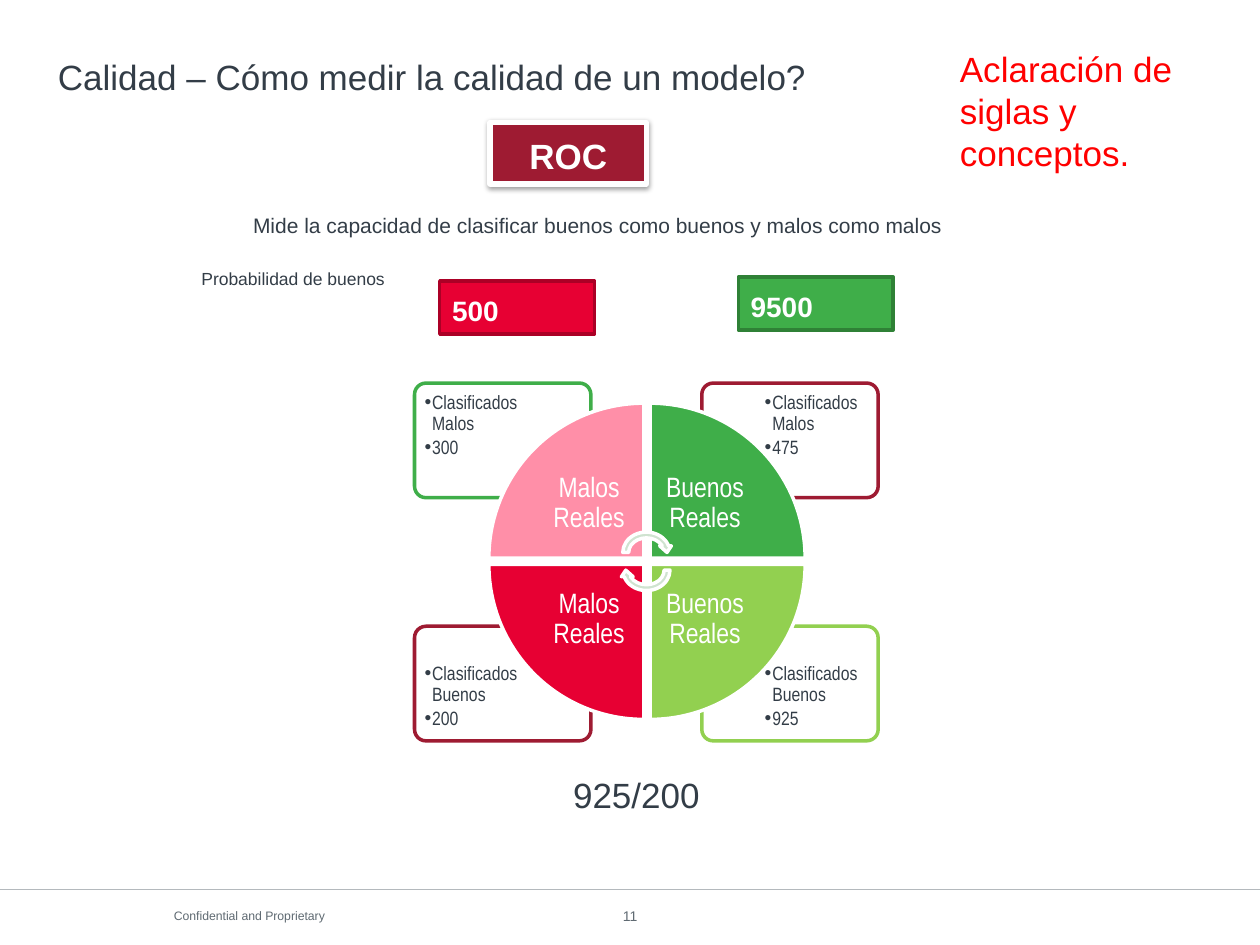
"""Build the slide on measuring model quality with ROC and a confusion cycle."""
from dataclasses import dataclass
from typing import Optional

import pptx
import pptx.dml.color
import pptx.enum.shapes
import pptx.enum.text
import pptx.oxml
import pptx.oxml.ns
import pptx.util
from lxml import etree

Inches = pptx.util.Inches
Pt = pptx.util.Pt
RGBColor = pptx.dml.color.RGBColor
Shape = pptx.enum.shapes.MSO_SHAPE
Align = pptx.enum.text.PP_ALIGN
Anchor = pptx.enum.text.MSO_ANCHOR
qn = pptx.oxml.ns.qn

WHITE = RGBColor(0xFF, 0xFF, 0xFF)
INK = RGBColor(0x33, 0x3D, 0x47)
FOOTER_GREY = RGBColor(0x5F, 0x6A, 0x72)
RULE_GREY = RGBColor(0xB4, 0xB9, 0xBD)
RED = RGBColor(0xE7, 0x00, 0x33)
DARK_RED = RGBColor(0xAB, 0x00, 0x26)
BRIGHT_RED = RGBColor(0xFF, 0x00, 0x00)
WINE = RGBColor(0x9E, 0x1B, 0x32)
PINK = RGBColor(0xFF, 0x8F, 0xA8)
GREEN = RGBColor(0x3F, 0xAE, 0x49)
DARK_GREEN = RGBColor(0x2F, 0x81, 0x36)
LIME = RGBColor(0x92, 0xD0, 0x50)
PALE_GREEN = RGBColor(0xCF, 0xE3, 0xD0)

BOX_INSETS = (0.1, 0.1, 0.1, 0.05)
NO_INSETS = (0, 0, 0, 0)


@dataclass(frozen=True)
class Label:
    text: str
    area: tuple
    size: float
    color: RGBColor = INK
    insets: tuple = BOX_INSETS
    bold: bool = False
    align: Align = Align.LEFT
    anchor: Anchor = Anchor.TOP
    font: str = "Arial"
    line_spacing: float = 1.0
    wrap: bool = True
    fill: Optional[RGBColor] = None
    outline: Optional[RGBColor] = None
    outline_width: float = 2


@dataclass(frozen=True)
class Quadrant:
    column: int
    row: int
    rotation: int
    actual: str
    predicted: str
    count: str
    fill: RGBColor
    border: RGBColor


FOOTER = [
    Label("Confidential and Proprietary", (1.38, 7.23, 1.41, 0.2), 7, FOOTER_GREY, NO_INSETS,
          line_spacing=0.85, wrap=False, fill=WHITE),
    Label("11", (4.74, 7.17, 0.52, 0.2), 8, FOOTER_GREY, NO_INSETS,
          align=Align.CENTER, anchor=Anchor.MIDDLE),
]
ROC = Label("ROC", (3.89, 0.97, 1.24, 0.49), 20, WHITE, bold=True, align=Align.CENTER,
            fill=WINE, outline=WHITE, outline_width=3)
HEADINGS = [
    Label("Mide la capacidad de clasificar buenos como buenos y malos como malos",
          (1.91, 1.59, 5.71, 0.35), 12),
    Label("Calidad – Cómo medir la calidad de un modelo?", (0.46, 0.43, 9.6, 0.39), 20,
          insets=NO_INSETS, anchor=Anchor.MIDDLE, line_spacing=0.95),
    Label("Probabilidad de buenos", (1.5, 2.03, 1.99, 0.32), 10),
]
TOTALS_AND_NOTES = [
    Label("500", (3.49, 2.23, 1.23, 0.42), 16, WHITE, bold=True, fill=RED, outline=DARK_RED),
    Label("9500", (5.86, 2.2, 1.23, 0.42), 16, WHITE, bold=True, fill=GREEN, outline=DARK_GREEN),
    Label("925/200", (4.45, 6.04, 1.37, 0.49), 20),
    Label("Aclaración de siglas y conceptos.", (7.52, 0.28, 1.9, 1.16), 20, BRIGHT_RED),
]
QUADRANTS = [
    Quadrant(1, 1, 180, "Buenos Reales", "Clasificados Buenos", "925", LIME, LIME),
    Quadrant(0, 1, 270, "Malos Reales", "Clasificados Buenos", "200", RED, WINE),
    Quadrant(1, 0, 90, "Buenos Reales", "Clasificados Malos", "475", GREEN, WINE),
    Quadrant(0, 0, 0, "Malos Reales", "Clasificados Malos", "300", PINK, GREEN),
]


def inches(values: tuple) -> list:
    return [Inches(value) for value in values]


def set_frame(frame, insets: tuple, anchor: Anchor = Anchor.TOP, wrap: bool = True) -> None:
    frame.word_wrap = wrap
    frame.vertical_anchor = anchor
    (frame.margin_left, frame.margin_top,
     frame.margin_right, frame.margin_bottom) = inches(insets)


def set_font(paragraph, name: str, size: float, color: RGBColor, bold: bool = False) -> None:
    font = paragraph.font
    font.name, font.size, font.bold = name, Pt(size), bold
    font.color.rgb = color


def add_filled(slide, kind: Shape, area: tuple, fill: RGBColor,
               outline: Optional[RGBColor], width: float = 2, rotation: int = 0):
    shape = slide.shapes.add_shape(kind, *inches(area))
    shape.shadow.inherit = False
    shape.rotation = rotation
    shape.fill.solid()
    shape.fill.fore_color.rgb = fill
    if outline is None:
        shape.line.fill.background()
    else:
        shape.line.color.rgb = outline
        shape.line.width = Pt(width)
    return shape


def add_label(slide, label: Label):
    if label.fill is None:
        shape = slide.shapes.add_textbox(*inches(label.area))
    else:
        shape = add_filled(slide, Shape.RECTANGLE, label.area, label.fill,
                           label.outline, label.outline_width)
    set_frame(shape.text_frame, label.insets, label.anchor, label.wrap)
    paragraph = shape.text_frame.paragraphs[0]
    paragraph.text = label.text
    paragraph.alignment = label.align
    paragraph.line_spacing = label.line_spacing
    set_font(paragraph, label.font, label.size, label.color, label.bold)
    return shape


def add_shadow(shape) -> None:
    effects = shape._element.spPr.find(qn("a:effectLst"))
    shadow = etree.SubElement(effects, qn("a:outerShdw"), blurRad=str(Pt(3.1)),
                              dist=str(Pt(1.6)), dir="5400000", rotWithShape="0")
    color = etree.SubElement(shadow, qn("a:srgbClr"), val="000000")
    etree.SubElement(color, qn("a:alpha"), val="38000")


def add_rule(slide, top: float) -> None:
    rule = slide.shapes.add_connector(pptx.enum.shapes.MSO_CONNECTOR.STRAIGHT,
                                      *inches((0, top, 10, top)))
    rule.line.color.rgb = RULE_GREY
    rule.line.width = Pt(0.75)
    etree.SubElement(rule._element.spPr, qn("a:effectLst"))


def add_callout(slide, quadrant: Quadrant) -> None:
    area = (3.29 + 2.28 * quadrant.column, 3.04 + 1.93 * quadrant.row, 1.4, 0.91)
    card = add_filled(slide, Shape.ROUNDED_RECTANGLE, area, WHITE, quadrant.border)
    card.adjustments[0] = 0.1
    color = card._element.spPr.find(qn("a:solidFill")).find(qn("a:srgbClr"))
    etree.SubElement(color, qn("a:alpha"), val="90000")
    text_area = (3.31 + 2.7 * quadrant.column, 3.06 + 2.15 * quadrant.row, 0.94, 0.64)
    frame = slide.shapes.add_textbox(*inches(text_area)).text_frame
    set_frame(frame, (0.06,) * 4)
    for paragraph, text in ((frame.paragraphs[0], quadrant.predicted),
                            (frame.add_paragraph(), quadrant.count)):
        paragraph.text = text
        paragraph.line_spacing = 0.9
        paragraph.space_after = Pt(1.65)
        properties = paragraph._p.get_or_add_pPr()
        properties.set("marL", str(Inches(0.06)))
        properties.set("indent", str(Inches(-0.06)))
        etree.SubElement(properties, qn("a:buFont"), typeface="Arial")
        etree.SubElement(properties, qn("a:buChar"), char="•")
        set_font(paragraph, "Arial Narrow", 11, INK)


def add_wedge(slide, quadrant: Quadrant) -> None:
    left, top = 3.88 + 1.28 * quadrant.column, 3.2 + 1.28 * quadrant.row
    add_filled(slide, Shape.PIE_WEDGE, (left, top, 1.23, 1.23), quadrant.fill, WHITE,
               rotation=quadrant.rotation)
    inner = (left + 0.36 * (1 - quadrant.column), top + 0.36 * (1 - quadrant.row), 0.87, 0.87)
    add_label(slide, Label(quadrant.actual, inner, 16, WHITE, (0.12,) * 4, align=Align.CENTER,
                           anchor=Anchor.MIDDLE, font="Arial Narrow", line_spacing=0.9))


def main() -> None:
    presentation = pptx.Presentation()
    presentation.slide_width, presentation.slide_height = Inches(10), Inches(7.5)
    slide = presentation.slides.add_slide(presentation.slide_layouts[6])
    for label in FOOTER:
        add_label(slide, label)
    add_rule(slide, 7.06)
    add_shadow(add_label(slide, ROC))
    for label in HEADINGS:
        add_label(slide, label)
    for quadrant in QUADRANTS:
        add_callout(slide, quadrant)
    for quadrant in QUADRANTS:
        add_wedge(slide, quadrant)
    for top, rotation in ((4.2, 0), (4.34, 180)):
        add_filled(slide, Shape.CIRCULAR_ARROW, (4.92, top, 0.42, 0.37), PALE_GREEN, WHITE,
                   rotation=rotation)
    for label in TOTALS_AND_NOTES:
        add_label(slide, label)
    presentation.save("out.pptx")


if __name__ == "__main__":
    main()
